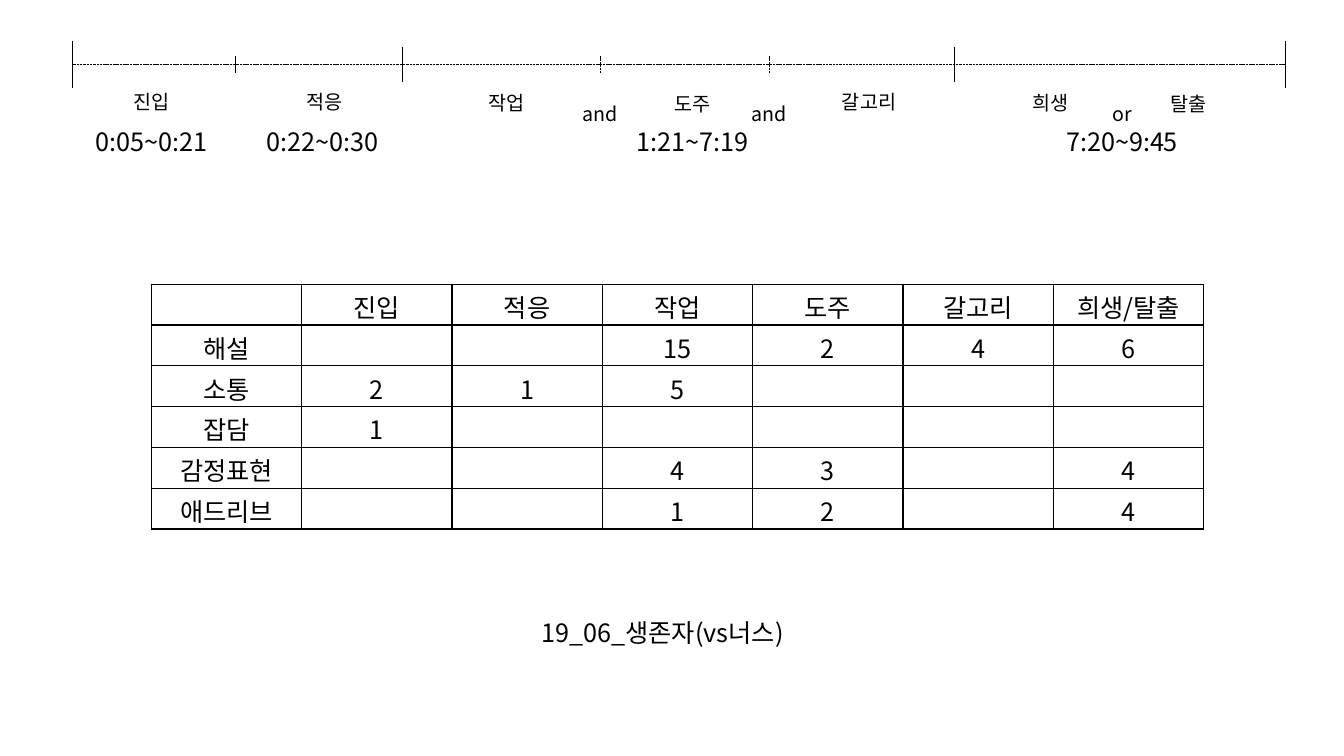
import pptx
import pptx.util
import pptx.dml.color
import pptx.enum.dml
import pptx.enum.shapes
import pptx.enum.text
import pptx.oxml
import pptx.oxml.ns
from lxml import etree

Inches, Pt = pptx.util.Inches, pptx.util.Pt
ALIGN, ANCHOR = pptx.enum.text.PP_ALIGN, pptx.enum.text.MSO_ANCHOR
FONT, INK, WHITE = "Noto Sans CJK KR", "000000", "FFFFFF"
SLIDE_W, SLIDE_H = 13.33, 7.5


def color(hex_text):
    return pptx.dml.color.RGBColor.from_string(hex_text)


def set_attrs(obj, values):
    for name, value in values.items():
        setattr(obj, name, value)


def write(tf, text, size, align=ALIGN.CENTER):
    """Put one formatted line of text in a text frame."""
    p = tf.paragraphs[0]
    p.alignment = align
    r = p.add_run()
    r.text = text
    set_attrs(r.font, {"name": FONT, "size": Pt(size)})
    r.font.color.rgb = color(INK)
    ea = etree.SubElement(r.font._element, pptx.oxml.ns.qn("a:ea"))
    ea.set("typeface", FONT)


def add_label(slide, text, center, top, width, height, size, anchor):
    sp = slide.shapes.add_textbox(Inches(center - width / 2), Inches(top),
                                  Inches(width), Inches(height))
    tf = sp.text_frame
    set_attrs(tf, {"word_wrap": True, "vertical_anchor": anchor,
                   "auto_size": pptx.enum.text.MSO_AUTO_SIZE.SHAPE_TO_FIT_TEXT})
    write(tf, text, size)


def add_line(slide, x1, y1, x2, y2, width, dashed=False):
    line = slide.shapes.add_connector(pptx.enum.shapes.MSO_CONNECTOR.STRAIGHT,
                                      Inches(x1), Inches(y1), Inches(x2), Inches(y2))
    line.line.color.rgb = color(INK)
    line.line.width = Pt(width)
    if dashed:
        line.line.dash_style = pptx.enum.dml.MSO_LINE.SQUARE_DOT
    etree.SubElement(line._element.spPr, pptx.oxml.ns.qn("a:effectLst"))


def add_timeline(slide, left, axis, width):
    """Axis with ticks, phase names, joining words and time ranges."""
    add_line(slide, left, axis, left + width, axis, 0.25, dashed=True)

    # Ticks: offset from the left end, half height, dashed
    for x, half, dashed in ((0, 0.23, False), (width, 0.23, False),
                            (3.27, 0.17, False), (8.75, 0.17, False),
                            (1.61, 0.08, False), (5.23, 0.08, True), (6.91, 0.08, True)):
        add_line(slide, left + x, axis - half, left + x, axis + half, 0.5, dashed)

    # Phase names: offset of the centre, drop below the axis, width
    for text, x, drop, w in (("진입", 0.78, 0.2, 0.82), ("적응", 2.5, 0.2, 0.82),
                             ("작업", 4.3, 0.21, 0.82), ("도주", 6.15, 0.22, 0.82),
                             ("갈고리", 7.9, 0.2, 0.97), ("희생", 9.7, 0.21, 0.82),
                             ("탈출", 11.07, 0.22, 0.82), ("or", 10.41, 0.32, 0.45)):
        add_label(slide, text, left + x, axis + drop, w, 0.34, 14, ANCHOR.MIDDLE)
    for x in (5.23, 6.91):
        add_label(slide, "and", left + x, axis + 0.2, 0.55, 0.57, 14, ANCHOR.MIDDLE)

    # Time ranges
    for text, x, w in (("0:05~0:21", 0.78, 1.44), ("0:22~0:30", 2.48, 1.44),
                       ("1:21~7:19", 6.15, 1.63), ("7:20~9:45", 10.41, 1.63)):
        add_label(slide, text, left + x, axis + 0.56, w, 0.4, 18, ANCHOR.TOP)


def add_borders(cell):
    tc_pr = cell._tc.get_or_add_tcPr()
    for i, side in enumerate(("lnL", "lnR", "lnT", "lnB")):
        tc_pr.insert(i, pptx.oxml.parse_xml(
            f'<a:{side} {pptx.oxml.ns.nsdecls("a")} w="12700"><a:solidFill>'
            f'<a:srgbClr val="{INK}"/></a:solidFill></a:{side}>'))


def add_counts(slide, left, top, width, height):
    """Counts of each kind of talk by phase."""
    rows = (("", "진입", "적응", "작업", "도주", "갈고리", "희생/탈출"),
            ("해설", "", "", "15", "2", "4", "6"),
            ("소통", "2", "1", "5", "", "", ""),
            ("잡담", "1", "", "", "", "", ""),
            ("감정표현", "", "", "4", "3", "", "4"),
            ("애드리브", "", "", "1", "2", "", "4"))
    table = slide.shapes.add_table(len(rows), len(rows[0]), Inches(left), Inches(top),
                                   Inches(width), Inches(height)).table
    set_attrs(table, {"first_row": False, "horz_banding": False})
    for i, row in enumerate(rows):
        for j, text in enumerate(row):
            cell = table.cell(i, j)
            set_attrs(cell, {"margin_top": Inches(0.04), "margin_bottom": 0})
            cell.fill.solid()
            cell.fill.fore_color.rgb = color(WHITE)
            add_borders(cell)
            if text:
                write(cell.text_frame, text, 18)


def add_caption(slide, left, top, width, height):
    """Title of the slide, set below the table."""
    sp = slide.shapes.title
    set_attrs(sp, {"left": Inches(left), "top": Inches(top),
                   "width": Inches(width), "height": Inches(height)})
    set_attrs(sp.text_frame, {"word_wrap": True, "vertical_anchor": ANCHOR.TOP,
                              "auto_size": pptx.enum.text.MSO_AUTO_SIZE.NONE})
    write(sp.text_frame, "19_06_생존자(vs너스)", 18, ALIGN.LEFT)


def main():
    prs = pptx.Presentation()
    set_attrs(prs, {"slide_width": Inches(SLIDE_W), "slide_height": Inches(SLIDE_H)})
    slide = prs.slides.add_slide(prs.slide_layouts[5])
    add_timeline(slide, 0.72, 0.64, 12.03)
    add_counts(slide, 1.5, 2.82, 10.44, 2.43)
    add_caption(slide, 5.27, 6.07, 3.83, 0.4)
    prs.save("out.pptx")


if __name__ == "__main__":
    main()
